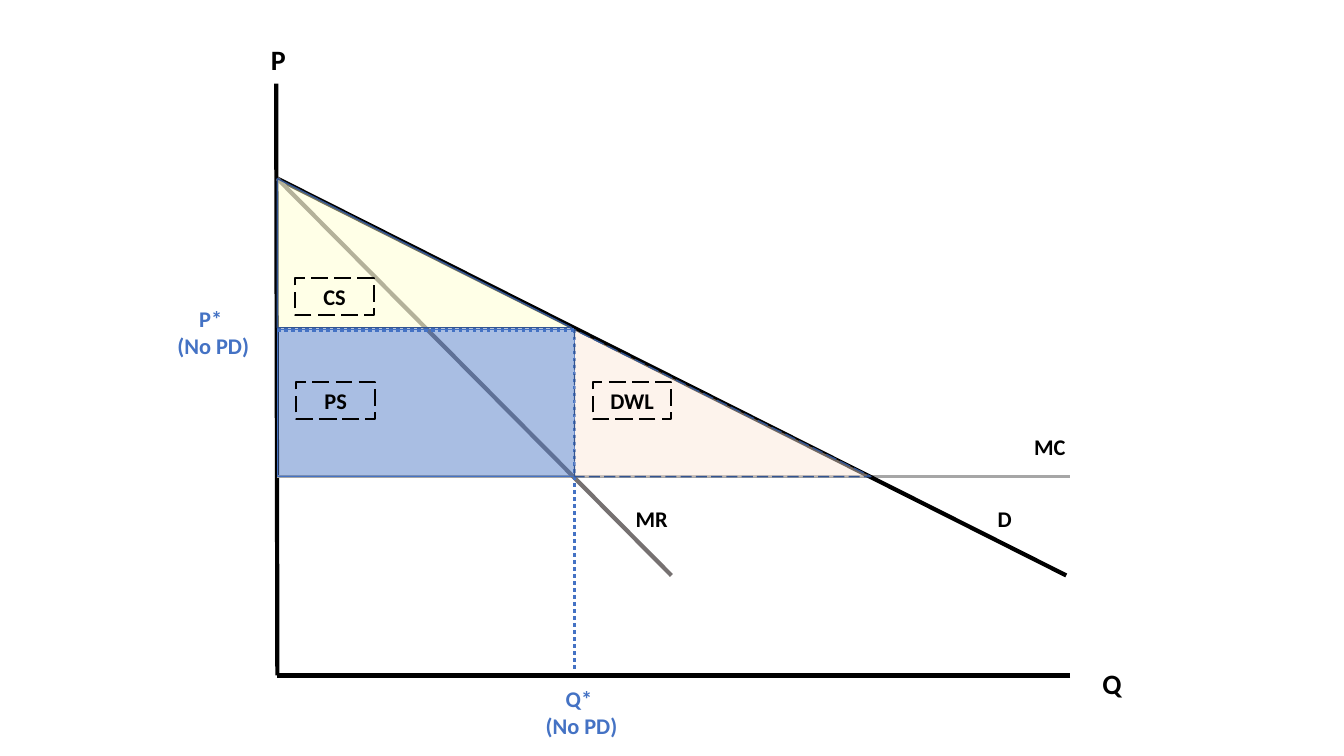
from lxml import etree
from pptx import Presentation
from pptx.dml.color import RGBColor
from pptx.enum.dml import MSO_LINE
from pptx.enum.shapes import MSO_CONNECTOR, MSO_SHAPE
from pptx.enum.text import MSO_ANCHOR, MSO_AUTO_SIZE, PP_ALIGN
from pptx.oxml.ns import qn
from pptx.util import Cm, Pt

RECTANGLE = MSO_SHAPE.RECTANGLE
TRIANGLE = MSO_SHAPE.RIGHT_TRIANGLE
STRAIGHT = MSO_CONNECTOR.STRAIGHT
DOTTED = MSO_LINE.ROUND_DOT
DASHED = MSO_LINE.LONG_DASH
LEFT, CENTER = PP_ALIGN.LEFT, PP_ALIGN.CENTER
FONT = "Calibri"
COLORS = {
    "black": "000000",
    "white": "FFFFFF",
    "cost": "A6A6A6",
    "revenue": "767171",
    "blue": "4472C4",
    "edge": "325491",
    "consumer": "FFFFCC",
    "loss": "FBE5D6",
}

# Key points of the diagram, in centimetres
AXIS_X, AXIS_Y = 6.99, 17.02
AXIS_TOP, AXIS_RIGHT = 2.11, 26.97
CHOKE_PRICE, PRICE, COST = 4.5, 8.31, 12.01
QUANTITY, EFFICIENT_QUANTITY = 14.48, 21.95
CURVE_END = 14.5


def color(name):
    return RGBColor.from_string(COLORS[name])


def style_line(line, name, width, dash=None):
    line.color.rgb = color(name)
    line.width = Pt(width)
    if dash is not None:
        line.dash_style = dash


def add_curve(slide, start, end, name, width=3, dash=None):
    curve = slide.shapes.add_connector(STRAIGHT, *map(Cm, start + end))
    style_line(curve.line, name, width, dash)
    etree.SubElement(curve._element.spPr, qn("a:effectLst"))


def write(shape, lines, name="black", size=16, align=CENTER, wrap=True):
    frame = shape.text_frame
    frame.word_wrap = wrap
    frame.auto_size = MSO_AUTO_SIZE.SHAPE_TO_FIT_TEXT
    frame.vertical_anchor = MSO_ANCHOR.TOP
    for number, line in enumerate(lines):
        paragraph = frame.add_paragraph() if number else frame.paragraphs[0]
        paragraph.alignment = align
        run = paragraph.add_run()
        run.text = line
        run.font.name = FONT
        run.font.size = Pt(size)
        run.font.bold = True
        run.font.color.rgb = color(name)


def add_label(slide, box, lines, **style):
    write(slide.shapes.add_textbox(*map(Cm, box)), lines, **style)


def add_region(slide, kind, left, top, right, bottom, fill, edge, dash=None):
    """Add a translucent welfare area between the given sides."""
    region = slide.shapes.add_shape(
        kind, Cm(left), Cm(top), Cm(right - left), Cm(bottom - top))
    region.shadow.inherit = False
    region.fill.solid()
    region.fill.fore_color.rgb = color(fill)
    tint = region._element.spPr.find(qn("a:solidFill"))[0]
    etree.SubElement(tint, qn("a:alpha"), val="46000")
    style_line(region.line, edge, 1, dash)


def add_tag(slide, left, top, text):
    """Add a dashed box naming a region."""
    tag = slide.shapes.add_shape(RECTANGLE, Cm(left), Cm(top), Cm(1.98), Cm(0.94))
    tag.shadow.inherit = False
    tag.fill.background()
    style_line(tag.line, "black", 1.5, DASHED)
    write(tag, [text])


def add_price_label(slide):
    label = slide.shapes.add_shape(RECTANGLE, Cm(3.99), Cm(7.57), Cm(2.77), Cm(1.63))
    label.shadow.inherit = False
    label.fill.solid()
    label.fill.fore_color.rgb = color("white")
    label.line.fill.background()
    write(label, ["P* ", "(No PD)"], name="blue")


def main():
    deck = Presentation()
    deck.slide_width, deck.slide_height = Cm(33.87), Cm(19.05)
    slide = deck.slides.add_slide(deck.slide_layouts[6])

    origin = (AXIS_X, AXIS_Y)
    choke = (AXIS_X, CHOKE_PRICE)
    add_curve(slide, (AXIS_X - 0.03, AXIS_TOP), origin, "black")
    add_curve(slide, (AXIS_RIGHT, AXIS_Y), origin, "black")
    add_curve(slide, (AXIS_X, COST), (AXIS_RIGHT, COST), "cost", 2.5)
    add_curve(slide, choke, (26.87, CURVE_END), "black")
    add_curve(slide, choke, (16.92, CURVE_END), "revenue")
    add_curve(slide, (AXIS_X, PRICE), (QUANTITY, PRICE), "blue", 2.5, DOTTED)
    add_curve(slide, (QUANTITY, PRICE), (QUANTITY, 16.87), "blue", 2.5, DOTTED)

    for left, top, text in ((15.77, 12.6, "MR"), (24.89, 12.6, "D"), (25.81, 10.8, "MC")):
        add_label(slide, (left, top, 1.52, 0.94), [text], align=LEFT, wrap=False)
    add_label(slide, (12.9, 17.15, 3.51, 1.63), ["Q* ", "(No PD)"], name="blue")
    for left, top, text in ((6.58, 0.94, "P"), (27.53, 16.66, "Q")):
        add_label(slide, (left, top, 1.3, 1.12), [text], size=20, align=LEFT)
    add_price_label(slide)

    add_region(slide, RECTANGLE, AXIS_X, PRICE, QUANTITY, COST, "blue", "blue")
    add_region(slide, TRIANGLE, AXIS_X, CHOKE_PRICE, QUANTITY - 0.07, PRICE - 0.05,
               "consumer", "edge")
    add_region(slide, TRIANGLE, QUANTITY, PRICE, EFFICIENT_QUANTITY, COST,
               "loss", "edge", DASHED)
    for left, top, text in ((7.47, 9.63, "PS"), (7.44, 7.01, "CS"), (14.94, 9.63, "DWL")):
        add_tag(slide, left, top, text)

    deck.save("out.pptx")


if __name__ == "__main__":
    main()
